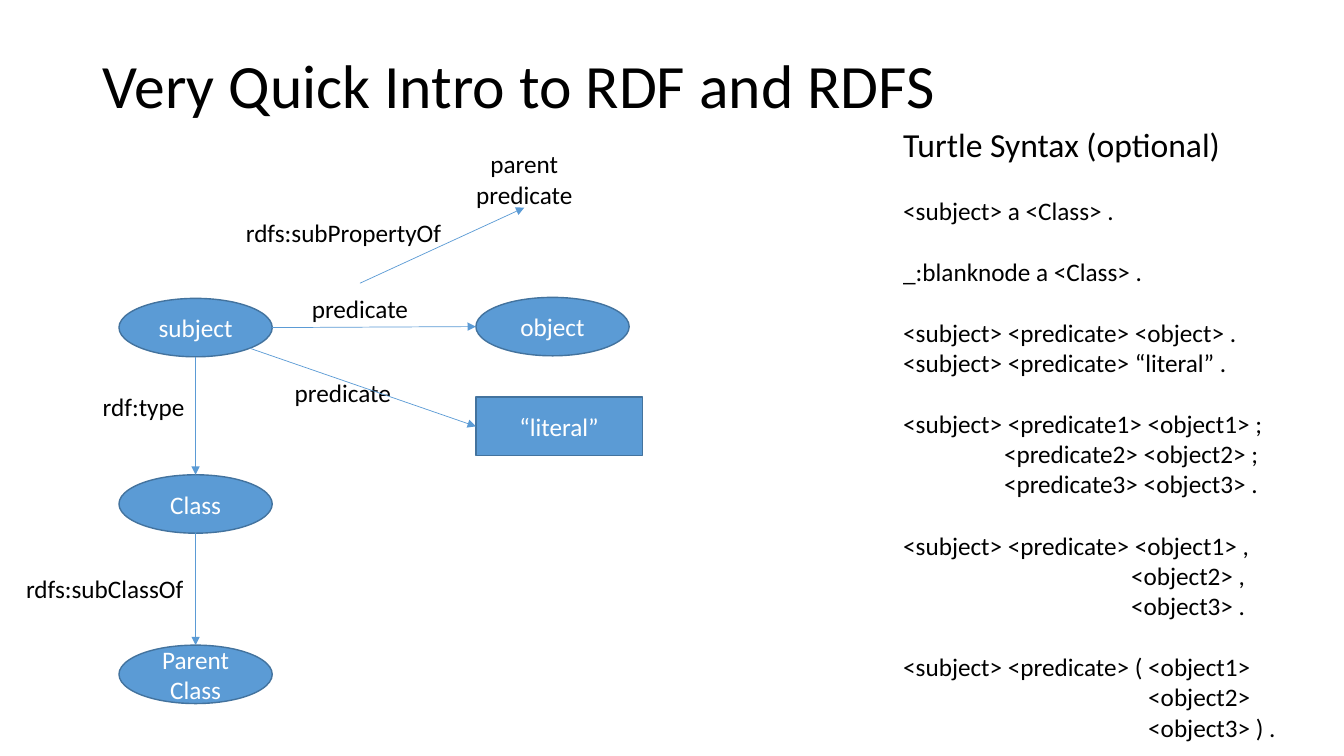
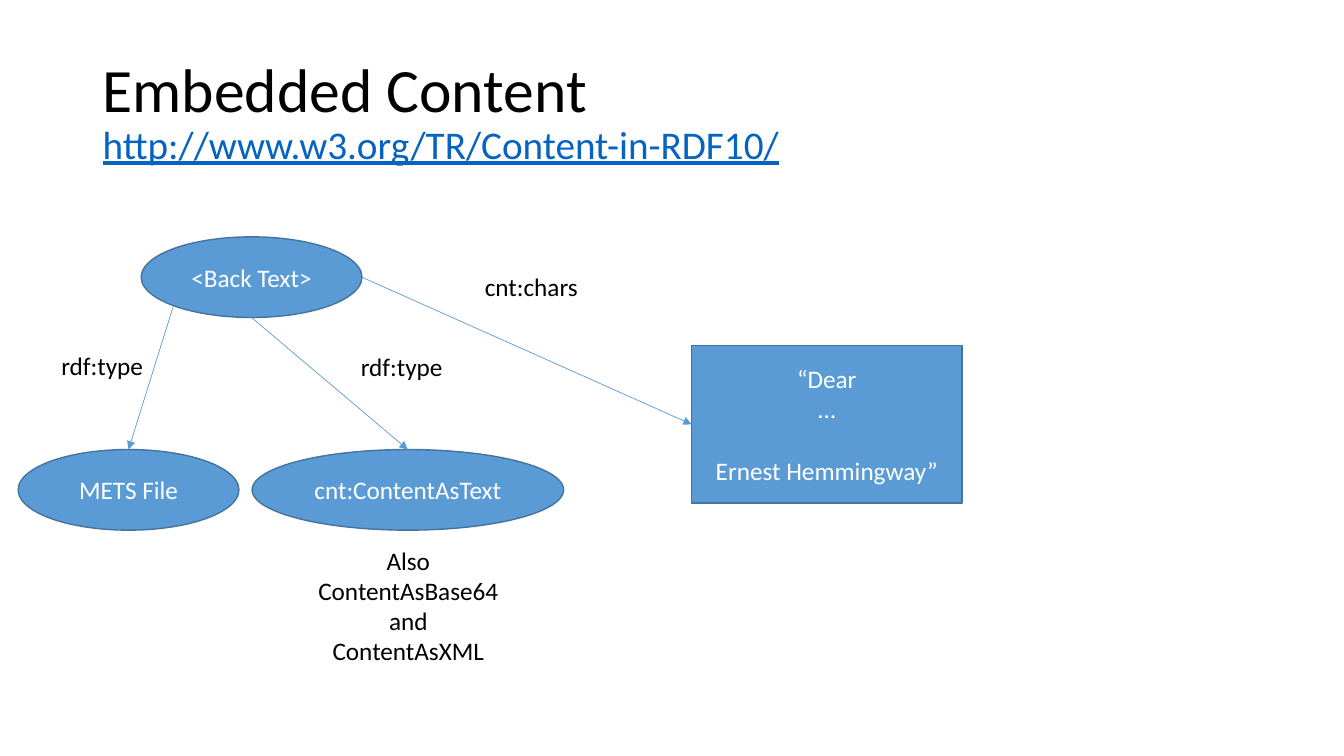
from lxml import etree
from pptx import Presentation
from pptx.dml.color import RGBColor
from pptx.enum.shapes import MSO_CONNECTOR, MSO_SHAPE
from pptx.enum.text import MSO_ANCHOR as Anchor, PP_ALIGN as Align
from pptx.oxml.ns import qn
from pptx.util import Inches, Pt

FONT = "Calibri"
BLACK, WHITE, LINK = "000000", "FFFFFF", "0563C1"
NODE_FILL, NODE_EDGE = "5B9BD5", "43739E"
BODY_SIZE = 18
LINE_GAP = 22  # points, one line of body text

# Points on an outline as shares of its width and height
DIAGONAL = 0.5 ** 1.5
SIDES = {
    "top": (0.5, 0),
    "left": (0, 0.5),
    "bottom": (0.5, 1),
    "right": (1, 0.5),
    "bottom left": (0.5 - DIAGONAL, 0.5 + DIAGONAL),
    "bottom right": (0.5 + DIAGONAL, 0.5 + DIAGONAL),
}
RECT_SITES = {"top": 0, "left": 1, "bottom": 2, "right": 3}
OVAL_SITES = {"top": 0}


def color(hex_code):
    return RGBColor.from_string(hex_code)


def write(frame, lines, **fmt):
    """Write lines, each a string or a (string, own format) pair."""
    frame.word_wrap = fmt.get("wrap", True)
    frame.vertical_anchor = fmt.get("anchor", Anchor.TOP)
    for i, line in enumerate(lines):
        text, own = (line, {}) if isinstance(line, str) else line
        style = {**fmt, **own}
        paragraph = frame.paragraphs[0] if i == 0 else frame.add_paragraph()
        paragraph.alignment = style.get("align", Align.LEFT)
        paragraph.line_spacing = style.get("spacing", 1.0)
        paragraph.space_before = Pt(style.get("before", 0))
        if "indent" in style:
            margin = str(Inches(style["indent"]))
            paragraph._p.get_or_add_pPr().set("marL", margin)
        run = paragraph.add_run()
        run.text = text
        run.font.name = FONT
        run.font.size = Pt(style.get("size", BODY_SIZE))
        run.font.color.rgb = color(style.get("ink", BLACK))
        run.font.underline = style.get("underline", False)


def add_text(slide, box, lines, **fmt):
    holder = slide.shapes.add_textbox(*map(Inches, box))
    write(holder.text_frame, lines, **fmt)
    return holder


def add_title(slide, height, lines):
    add_text(slide, (0.92, 0.4, 11.5, height), lines,
             size=44, spacing=0.9, anchor=Anchor.MIDDLE)


def add_node(slide, kind, box, lines):
    """Ovals and literals are filled; captions and labels are bare text."""
    if kind == "label":
        return add_text(slide, box, lines, wrap=False)
    if kind == "caption":
        return add_text(slide, box, lines, align=Align.CENTER,
                        anchor=Anchor.MIDDLE)
    preset = MSO_SHAPE.OVAL if kind == "oval" else MSO_SHAPE.RECTANGLE
    node = slide.shapes.add_shape(preset, *map(Inches, box))
    node.shadow.inherit = False
    node.fill.solid()
    node.fill.fore_color.rgb = color(NODE_FILL)
    node.line.color.rgb = color(NODE_EDGE)
    node.line.width = Pt(1)
    write(node.text_frame, lines, ink=WHITE, align=Align.CENTER,
          anchor=Anchor.MIDDLE)
    return node


def point_on(node, side):
    across, down = SIDES[side]
    return (round(node.left + node.width * across),
            round(node.top + node.height * down))


def add_arrow(slide, source, target):
    """Draw an arrow between two (kind, node, side) ends."""
    ends = [point_on(node, side) for _, node, side in (source, target)]
    arrow = slide.shapes.add_connector(MSO_CONNECTOR.STRAIGHT,
                                       *ends[0], *ends[1])
    for join, (kind, node, side) in ((arrow.begin_connect, source),
                                     (arrow.end_connect, target)):
        sites = OVAL_SITES if kind == "oval" else RECT_SITES
        if side in sites:
            join(node, sites[side])
    arrow.line.color.rgb = color(NODE_FILL)
    arrow.line.width = Pt(0.5)
    head = etree.SubElement(arrow.line._get_or_add_ln(), qn("a:tailEnd"))
    head.set("type", "triangle")
    etree.SubElement(arrow._element.spPr, qn("a:effectLst"))


def add_graph(slide, left, top, nodes, arrows):
    """Place nodes relative to the corner, then join them with arrows."""
    placed = {}
    for key, (kind, x, y, width, height, lines) in nodes.items():
        box = (left + x, top + y, width, height)
        placed[key] = (kind, add_node(slide, kind, box, lines))
    for source, source_side, target, target_side in arrows:
        add_arrow(slide, (*placed[source], source_side),
                  (*placed[target], target_side))


def add_turtle_syntax(slide, left, top, width, height):
    new_block = {"before": LINE_GAP}
    predicates, objects, members = ({"indent": n} for n in (1, 2.26, 2.43))
    add_text(slide, (left, top, width, height), [
        ("Turtle Syntax (optional)", {"size": 24}),
        ("<subject> a <Class> .", new_block),
        ("_:blanknode a <Class> .", new_block),
        ("<subject> <predicate> <object> .", new_block),
        "<subject> <predicate> “literal” .",
        ("<subject> <predicate1> <object1> ;", new_block),
        ("<predicate2> <object2> ;", predicates),
        ("<predicate3> <object3> .", predicates),
        ("<subject> <predicate> <object1> ,", new_block),
        ("<object2> ,", objects),
        ("<object3> .", objects),
        ("<subject> <predicate> ( <object1>", new_block),
        ("<object2>", members),
        ("<object3> ) .", members),
    ])


def build_intro(slide):
    add_title(slide, 0.95, ["Very Quick Intro to RDF and RDFS"])
    oval, caption = (1.52, 0.58), (1.32, 0.5)
    nodes = {
        "subject": ("oval", 1.02, 1.47, *oval, ["subject"]),
        "object": ("oval", 4.56, 1.46, *oval, ["object"]),
        "class": ("oval", 1.02, 3.22, *oval, ["Class"]),
        "parent class": ("oval", 1.02, 4.91, *oval, ["Parent Class"]),
        "literal": ("literal", 4.56, 2.45, 1.65, 0.58, ["“literal”"]),
        "predicate": ("caption", 2.75, 1.32, *caption, ["predicate"]),
        "literal predicate": ("caption", 2.58, 2.15, *caption, ["predicate"]),
        "parent predicate": ("caption", 4.38, 0, 1.32, 0.57,
                             ["parent predicate"]),
        "type": ("label", 0.76, 2.34, 1.02, 0.4, ["rdf:type"]),
        "subclass": ("label", 0, 4.15, 1.78, 0.4, ["rdfs:subClassOf"]),
        "subproperty": ("label", 2.18, 0.62, 2.16, 0.4,
                        ["rdfs:subPropertyOf"]),
    }
    add_graph(slide, 0.16, 1.49, nodes, [
        ("subject", "right", "object", "left"),
        ("subject", "bottom", "class", "top"),
        ("class", "bottom", "parent class", "top"),
        ("predicate", "top", "parent predicate", "bottom"),
        ("subject", "bottom right", "literal", "left"),
    ])
    add_turtle_syntax(slide, 8.86, 1.18, 3.97, 6.87)


def build_embedded_content(slide):
    add_title(slide, 1.45, [
        "Embedded Content",
        ("http://www.w3.org/TR/Content-in-RDF10/",
         {"size": 28, "ink": LINK, "underline": True}),
    ])
    oval, type_label = (2.19, 0.8), (1.02, 0.4)
    letter = ["“Dear", "…", ("Ernest Hemmingway”", {"before": LINE_GAP})]
    formats = ["Also", "ContentAsBase64", "and", "ContentAsXML"]
    nodes = {
        "back text": ("oval", 1.22, 0, *oval, ["<Back Text>"]),
        "letter": ("literal", 6.68, 1.08, 2.68, 1.56, letter),
        "file": ("oval", 0, 2.11, *oval, ["METS File"]),
        "content": ("oval", 2.32, 2.11, 3.09, 0.8, ["cnt:ContentAsText"]),
        "file type": ("label", 0.33, 1.08, *type_label, ["rdf:type"]),
        "content type": ("label", 3.3, 1.09, *type_label, ["rdf:type"]),
        "chars": ("label", 4.53, 0.29, 1.13, 0.4, ["cnt:chars"]),
        "formats": ("caption", 2.84, 3, 2.06, 1.31, formats),
    }
    add_graph(slide, 0.18, 2.35, nodes, [
        ("back text", "bottom left", "file", "top"),
        ("back text", "bottom", "content", "top"),
        ("back text", "right", "letter", "left"),
    ])


def main():
    deck = Presentation()
    deck.slide_width, deck.slide_height = Inches(13.33), Inches(7.5)
    blank = deck.slide_layouts[6]
    for build in (build_intro, build_embedded_content):
        build(deck.slides.add_slide(blank))
    deck.save("out.pptx")


if __name__ == "__main__":
    main()
